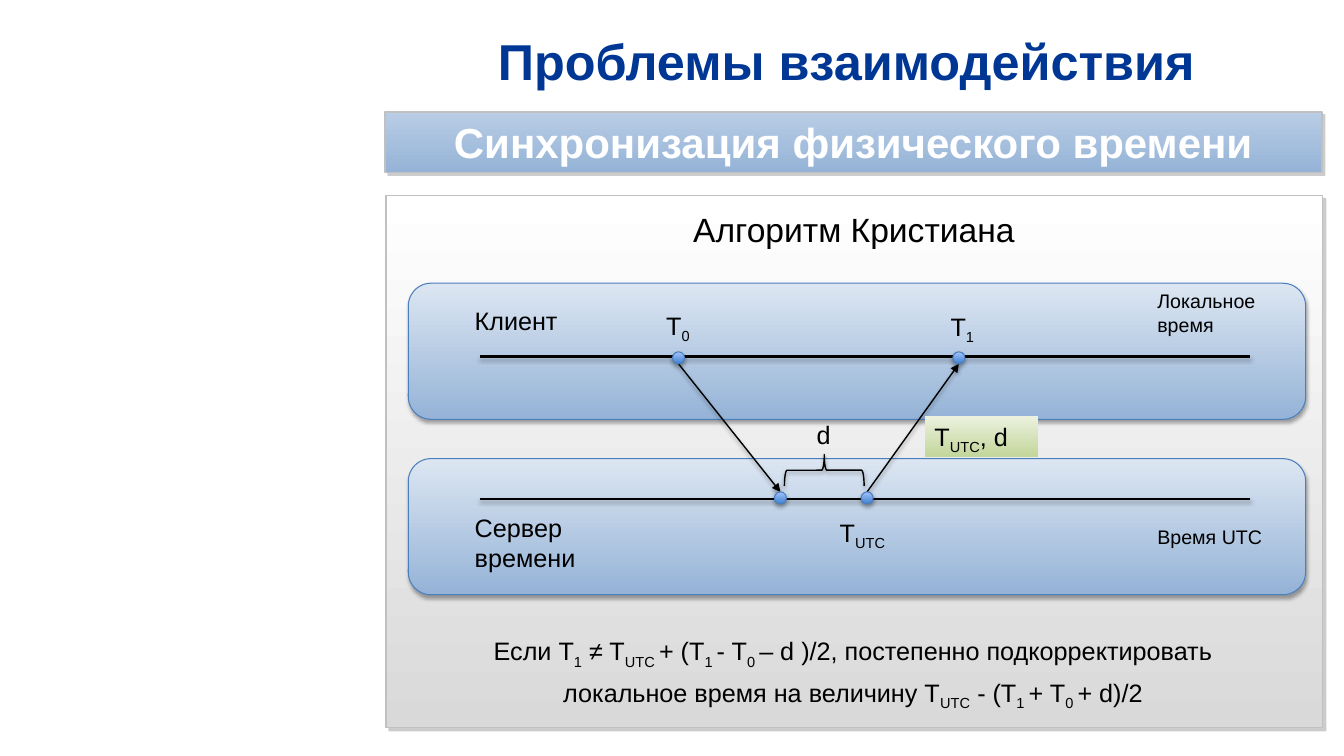
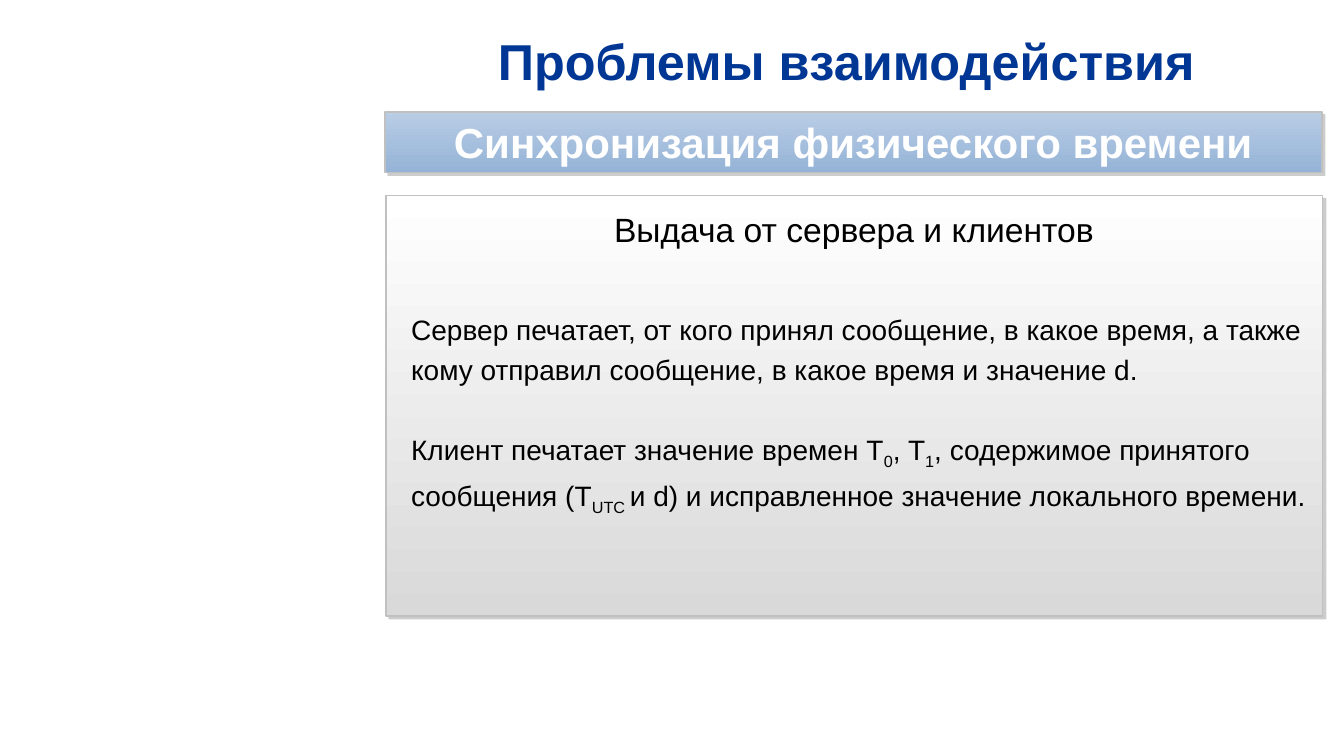
from lxml.etree import SubElement
from pptx import Presentation
from pptx.dml.color import RGBColor
from pptx.enum.shapes import MSO_CONNECTOR, MSO_SHAPE as SHAPE
from pptx.enum.text import MSO_ANCHOR as ANCHOR, PP_ALIGN as ALIGN
from pptx.oxml.ns import qn
from pptx.util import Pt

PX = 9144  # 100 px to the inch
FONT = "Arial"

BLACK = RGBColor(0x00, 0x00, 0x00)
WHITE = RGBColor(0xFF, 0xFF, 0xFF)
NAVY = RGBColor(0x00, 0x37, 0x94)
SILVER = RGBColor(0xC0, 0xC0, 0xC0)
SHADE = RGBColor(0x80, 0x80, 0x80)
PALE_GRAY = RGBColor(0xD9, 0xD9, 0xD9)
BAND_TOP = RGBColor(0xB9, 0xCD, 0xE5)
STEEL = RGBColor(0x95, 0xB3, 0xD7)
ICE = RGBColor(0xDC, 0xE6, 0xF2)
OUTLINE = RGBColor(0x4B, 0x7E, 0xBC)
DOT_TOP = RGBColor(0xA4, 0xC4, 0xFF)
DOT_BOTTOM = RGBColor(0x3F, 0x80, 0xCE)
LIME_TOP = RGBColor(0xEB, 0xF1, 0xDE)
LIME_BOTTOM = RGBColor(0xC3, 0xD6, 0x9B)

# Shadows: colour, opacity %, blur pt, distance pt, direction in degrees
HARD_SHADOW = (SHADE, 40, 0, 3, 45)
SOFT_SHADOW = (BLACK, 35, 3.1, 1.8, 90)
LINE_SHADOW = (BLACK, 38, 3.1, 1.6, 90)


def write(shapes, box, text, kind=None, size=18, color=BLACK, bold=False,
          align=ALIGN.LEFT, anchor=ANCHOR.TOP, spacing=None, gap=0):
    """Put text in a box; [..] marks a subscript, a line break a new paragraph."""
    frame_px = [v * PX for v in box]
    holder = shapes.add_shape(kind, *frame_px) if kind else shapes.add_textbox(*frame_px)
    frame = holder.text_frame
    frame.word_wrap = True
    frame.vertical_anchor = anchor
    for i, line in enumerate(text.split("\n")):
        paragraph = frame.add_paragraph() if i else frame.paragraphs[0]
        paragraph.alignment = align
        paragraph.line_spacing = spacing
        if i:
            paragraph.space_before = Pt(gap)
        for j, part in enumerate(line.replace("]", "[").split("[")):
            if not part:
                continue
            run = paragraph.add_run()
            run.text = part
            run.font.name, run.font.size = FONT, Pt(size)
            run.font.bold, run.font.color.rgb = bold, color
            if j % 2:
                run._r.get_or_add_rPr().set("baseline", "-25000")
    return holder


def finish(item, gradient=None, line=None, width=1, shadow=None):
    """Set the top-to-bottom gradient, line and shadow of a shape or connector."""
    if gradient:
        item.fill.gradient()
        item.fill.gradient_angle = 270
        for stop, color in zip(item.fill.gradient_stops, gradient):
            stop.color.rgb = color
    if line is None:
        item.line.fill.background()
    else:
        item.line.color.rgb = line
        item.line.width = Pt(width)
    effects = SubElement(item._element.spPr, qn("a:effectLst"))
    if shadow:
        color, opacity, blur, distance, direction = shadow
        outer = SubElement(effects, qn("a:outerShdw"), blurRad=str(Pt(blur)),
                           dist=str(Pt(distance)), dir=str(direction * 60000),
                           algn="ctr", rotWithShape="0")
        tint = SubElement(outer, qn("a:srgbClr"), val=str(color))
        SubElement(tint, qn("a:alpha"), val=str(opacity * 1000))


prs = Presentation()
prs.slide_width, prs.slide_height = 1333 * PX, 750 * PX

# Shared parts: title, band, panel and its heading
pages = []
for heading, panel_height in (("Алгоритм Кристиана", 528),
                              ("Выдача от сервера и клиентов", 417)):
    shapes = prs.slides.add_slide(prs.slide_layouts[6]).shapes
    panel = shapes.add_shape(SHAPE.RECTANGLE, 383 * PX, 194 * PX, 929 * PX, panel_height * PX)
    finish(panel, (WHITE, PALE_GRAY), SILVER, shadow=HARD_SHADOW)
    write(shapes, (382, 26, 929, 68), "Проблемы взаимодействия ", size=36, color=NAVY,
          bold=True, align=ALIGN.CENTER, anchor=ANCHOR.MIDDLE)
    band = write(shapes, (382, 111, 929, 60), "Синхронизация физического времени",
                 kind=SHAPE.RECTANGLE, size=30, color=WHITE, bold=True,
                 align=ALIGN.CENTER, anchor=ANCHOR.MIDDLE)
    finish(band, (BAND_TOP, STEEL), SILVER, shadow=HARD_SHADOW)
    write(shapes, (398, 202, 898, 50), heading, size=24, align=ALIGN.CENTER)
    pages.append(shapes)
diagram, output = pages

# Slide 1: client and server lanes
for top in (455, 281):
    lane = diagram.add_shape(SHAPE.ROUNDED_RECTANGLE, 405 * PX, top * PX, 890 * PX, 135 * PX)
    finish(lane, (ICE, STEEL), OUTLINE, 0.75, SOFT_SHADOW)

# Time axes and messages: x1, y1, x2, y2, line width, arrow
CLIENT_Y, SERVER_Y, RADIUS = 355, 494, 6
SENT, RETURNED, RECEIVED, REPLIED = 673, 951, 774, 860
for x1, y1, x2, y2, width, arrow in (
        (476, 354, 1240, 354, 2, False),
        (476, 495, 1240, 495, 2, False),
        (SENT, CLIENT_Y + RADIUS, RECEIVED, SERVER_Y - RADIUS, 1, True),
        (REPLIED, SERVER_Y - RADIUS, RETURNED, CLIENT_Y + RADIUS, 1, True)):
    link = diagram.add_connector(MSO_CONNECTOR.STRAIGHT, x1 * PX, y1 * PX, x2 * PX, y2 * PX)
    finish(link, line=BLACK, width=width, shadow=LINE_SHADOW)
    if arrow:
        SubElement(link.line._get_or_add_ln(), qn("a:tailEnd"), type="triangle")

# Events on the axes
for x, y in ((SENT, CLIENT_Y), (RETURNED, CLIENT_Y), (RECEIVED, SERVER_Y), (REPLIED, SERVER_Y)):
    event = diagram.add_shape(SHAPE.OVAL, (x - RADIUS) * PX, (y - RADIUS) * PX,
                              2 * RADIUS * PX, 2 * RADIUS * PX)
    finish(event, (DOT_TOP, DOT_BOTTOM), OUTLINE, 0.75, SOFT_SHADOW)

# Processing delay
delay = diagram.add_shape(SHAPE.LEFT_BRACE, 802 * PX, 427 * PX, 31 * PX, 79 * PX)
delay.rotation = 90
delay.fill.background()
finish(delay, line=BLACK, shadow=LINE_SHADOW)

# Labels
for box, label, size in (
        ((461, 298, 126, 40), "Клиент", 18),
        ((461, 503, 126, 71), "Сервер времени", 18),
        ((1138, 282, 118, 57), "Локальное время", 14),
        ((1138, 516, 134, 34), "Время UTC", 14),
        ((651, 303, 47, 40), "T[0]", 18),
        ((933, 304, 47, 40), "T[1]", 18),
        ((823, 508, 71, 40), "T[UTC]", 18),
        ((800, 411, 32, 40), "d", 18)):
    write(diagram, box, label, size=size)
reply = write(diagram, (917, 413, 113, 40), "T[UTC], d", kind=SHAPE.RECTANGLE)
finish(reply, (LIME_TOP, LIME_BOTTOM))

# Correction rule
write(diagram, (421, 619, 850, 83),
      "Если T[1] ≠ T[UTC ]+ (T[1 ]- T[0 ]– d )/2, постепенно подкорректировать "
      "локальное время на величину T[UTC] - (T[1 ]+ T[0 ]+ d)/2",
      align=ALIGN.CENTER, spacing=1.2)

# Slide 2: what the server and the clients print
write(output, (398, 298, 913, 214),
      "Сервер печатает, от кого принял сообщение, в какое время, а также "
      "кому отправил сообщение, в какое время и значение d.\n"
      "Клиент печатает значение времен T[0], T[1], содержимое принятого "
      "сообщения (T[UTC ]и d) и исправленное значение локального времени.",
      size=20, spacing=1.2, gap=28)

prs.save("out.pptx")
